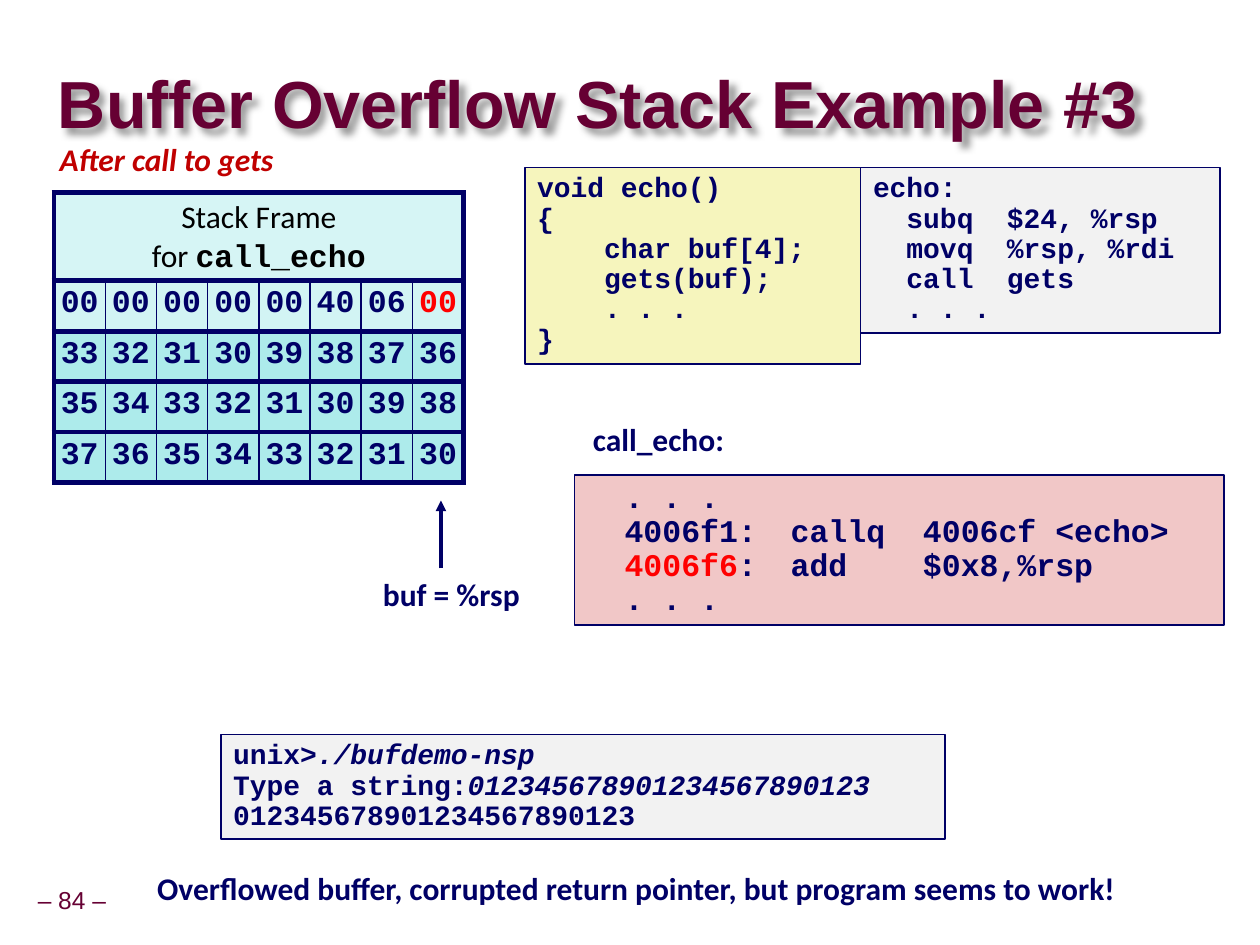
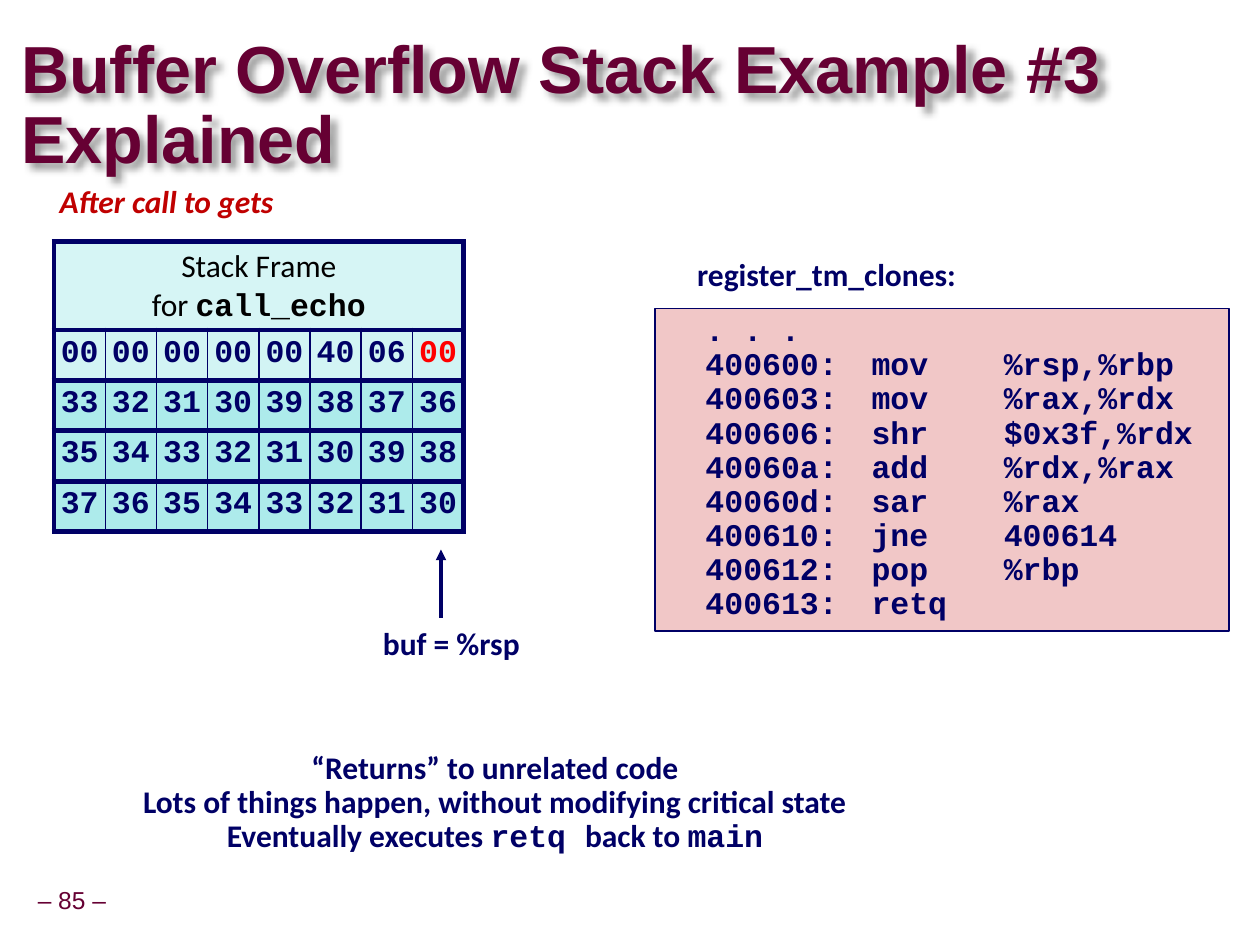
import lxml.etree
import pptx
import pptx.dml.color
import pptx.enum.shapes
import pptx.enum.text
import pptx.oxml.ns
import pptx.util

Cm = pptx.util.Cm
Pt = pptx.util.Pt
qn = pptx.oxml.ns.qn
ALIGN = pptx.enum.text.PP_ALIGN
ANCHOR = pptx.enum.text.MSO_ANCHOR

NAVY, MAROON, RED, CRIMSON, BLACK = "000066", "660033", "FF0000", "C00000", "000000"
GREY, YELLOW, PINK = "F2F2F2", "F6F5BD", "F1C7C7"
HEAD_FILL, RETURN_FILL, BUFFER_FILL = "D6F5F5", "D2F4F4", "ADEBEB"
SANS, BODY, MONO = "Arial", "Calibri", "Courier New"
CODE_TABS = (1.27, 4.11)
CELL_INSET = (0.03, 0.13, 0.03, 0.13)

STACK_ROWS = [
    "00 00 00 00 00 40 06 00",
    "33 32 31 30 39 38 37 36",
    "35 34 33 32 31 30 39 38",
    "37 36 35 34 33 32 31 30",
]
ECHO_C = ["void echo()", "{", "    char buf[4];", "    gets(buf);", "    . . .", "}"]
ECHO_ASM = ["echo:", "  subq  $24, %rsp", "  movq  %rsp, %rdi", "  call  gets", "  . . ."]
CALL_ECHO = [
    "  . . .",
    "  4006f1:\tcallq  4006cf <echo>",
    ["  ", ("4006f6", {"color": RED}), ":\tadd    $0x8,%rsp"],
    "  . . .",
]
CLONES = [
    "  . . .",
    "  400600:\tmov    %rsp,%rbp",
    "  400603:\tmov    %rax,%rdx",
    "  400606:\tshr    $0x3f,%rdx",
    "  40060a:\tadd    %rdx,%rax",
    "  40060d:\tsar    %rax",
    "  400610:\tjne    400614",
    "  400612:\tpop    %rbp",
    "  400613:\tretq",
]
SESSION = [
    ["unix>", ("./bufdemo-nsp", {"italic": True})],
    ["Type a string:", ("012345678901234567890123", {"italic": True})],
    "012345678901234567890123",
]
RETURN_NOTE = [
    "“Returns” to unrelated code",
    "Lots of things happen, without modifying critical state",
    ["Eventually executes ", ("retq ", {"font": MONO}), "back to ", ("main", {"font": MONO})],
]


def rgb(value):
    """Turn a hex string into a colour."""
    return pptx.dml.color.RGBColor.from_string(value)


def add_xml(parent, tag, **attrs):
    """Append a drawing element with its attributes."""
    return lxml.etree.SubElement(parent, qn(tag), {k: str(v) for k, v in attrs.items()})


def add_run(p, text, font=BODY, size=18, color=NAVY, bold=True, italic=False):
    """Add one formatted run."""
    r = p.add_run()
    r.text = text
    r.font.name, r.font.size = font, Pt(size)
    r.font.bold, r.font.italic = bold, italic
    r.font.color.rgb = rgb(color)


def write(tf, lines, align=ALIGN.CENTER, spacing=0.9, tabs=(), **fmt):
    """Fill a text frame, one paragraph per line; a line may be a list of runs."""
    for i, line in enumerate(lines):
        p = tf.paragraphs[0] if i == 0 else tf.add_paragraph()
        p.alignment, p.line_spacing = align, spacing
        if tabs:
            tab_list = add_xml(p._p.get_or_add_pPr(), "a:tabLst")
            for tab in tabs:
                add_xml(tab_list, "a:tab", pos=Cm(tab), algn="l")
        for part in [line] if isinstance(line, str) else line:
            text, extra = (part, {}) if isinstance(part, str) else part
            add_run(p, text, **{**fmt, **extra})


def set_insets(target, insets):
    """Set left, top, right and bottom margins in centimetres."""
    (target.margin_left, target.margin_top,
     target.margin_right, target.margin_bottom) = map(Cm, insets)


def text_box(s, box, lines, wrap=False, anchor=ANCHOR.TOP, insets=None, **fmt):
    """Add a plain text box."""
    tb = s.shapes.add_textbox(*map(Cm, box))
    tf = tb.text_frame
    tf.word_wrap, tf.vertical_anchor = wrap, anchor
    if insets:
        set_insets(tf, insets)
    write(tf, lines, **fmt)
    return tb


def code_box(s, box, lines, fill, size=16, tabs=()):
    """Add a framed listing in the code font."""
    sp = s.shapes.add_shape(pptx.enum.shapes.MSO_SHAPE.RECTANGLE, *map(Cm, box))
    sp.shadow.inherit = False
    sp.fill.solid()
    sp.fill.fore_color.rgb = rgb(fill)
    sp.line.color.rgb, sp.line.width = rgb(NAVY), Pt(1)
    tf = sp.text_frame
    tf.word_wrap, tf.vertical_anchor = True, ANCHOR.TOP
    write(tf, lines, align=ALIGN.LEFT, tabs=tabs, font=MONO, size=size)


def title(s, box, text):
    """Add the slide title with its soft shadow."""
    tb = text_box(s, box, [text], wrap=True, anchor=ANCHOR.MIDDLE, insets=(0, 0, 0, 0),
                  align=ALIGN.LEFT, spacing=0.87, font=SANS, size=38, color=MAROON)
    effects = add_xml(tb._element.spPr, "a:effectLst")
    shadow = add_xml(effects, "a:outerShdw", blurRad=Pt(4), dist=Pt(4), dir=2700000, algn="tl")
    add_xml(add_xml(shadow, "a:srgbClr", val=BLACK), "a:alpha", val=40000)


def page_number(s, number):
    """Add the page number at the foot."""
    text_box(s, (0.61, 17.78, 1.68, 0.79), [f"– {number} –"], anchor=ANCHOR.MIDDLE,
             insets=[0.13] * 4, font=SANS, size=14, color=MAROON, bold=False)


def style_cell(cell, fill, left=1, right=1):
    """Set the borders and fill of a stack cell."""
    tcPr = cell._tc.get_or_add_tcPr()
    for tag, width in (("a:lnL", left), ("a:lnR", right), ("a:lnT", 3), ("a:lnB", 3)):
        ln = add_xml(tcPr, tag, w=Pt(width))
        add_xml(add_xml(ln, "a:solidFill"), "a:srgbClr", val=NAVY)
    cell.fill.solid()
    cell.fill.fore_color.rgb = rgb(fill)


def stack_table(s, box):
    """Add the stack frame with one byte per cell."""
    left, top, width, height = box
    head, columns = 1.78, 8
    row_height = (height - head) / len(STACK_ROWS)
    table = s.shapes.add_table(len(STACK_ROWS) + 1, columns, *map(Cm, box)).table
    table.first_row = table.horz_banding = False
    for column in table.columns:
        column.width = Cm(width / columns)
    for i, row in enumerate(table.rows):
        row.height = Cm(row_height if i else head)
    frame = table.cell(0, 0)
    frame.merge(table.cell(0, columns - 1))
    style_cell(frame, HEAD_FILL, 3, 3)
    write(frame.text_frame,
          ["Stack Frame", ["for ", ("call_echo", {"font": MONO, "bold": True})]],
          spacing=1.0, color=BLACK, bold=False)
    for i, row in enumerate(STACK_ROWS):
        for j, byte in enumerate(row.split()):
            cell = table.cell(i + 1, j)
            last = j == columns - 1
            style_cell(cell, BUFFER_FILL if i else RETURN_FILL,
                       left=1 if j else 3, right=3 if last else 1)
            set_insets(cell, CELL_INSET)
            write(cell.text_frame, [byte], font=MONO, color=RED if last and i == 0 else NAVY)


def stack_region(s, box, caption_top):
    """Add the caption, the stack and the pointer to its lowest byte."""
    left, top, width, height = box
    text_box(s, (left - 0.18, caption_top, 4.9, 1.02), ["After call to gets"],
             color=CRIMSON, italic=True)
    stack_table(s, box)
    bottom, x = top + height, left + width - 0.46
    text_box(s, (x - 1.48, bottom + 1.83, 3.38, 1.02), ["buf = %rsp"], wrap=True)
    arrow = s.shapes.add_connector(pptx.enum.shapes.MSO_CONNECTOR.STRAIGHT,
                                   Cm(x), Cm(bottom + 1.73), Cm(x), Cm(bottom + 0.36))
    arrow.line.color.rgb, arrow.line.width = rgb(NAVY), Pt(2)
    add_xml(arrow.line._get_or_add_ln(), "a:tailEnd", type="triangle")
    add_xml(arrow._element.spPr, "a:effectLst")


def labelled_code(s, box, label, label_box, lines):
    """Add a disassembly listing under its label."""
    code_box(s, box, lines, PINK, size=18, tabs=CODE_TABS)
    text_box(s, label_box, [label])


def example_slide(prs):
    """Build the slide that shows the overflow."""
    s = prs.slides.add_slide(prs.slide_layouts[6])
    page_number(s, 84)
    title(s, (1.17, 1.37, 23.39, 1.6), "Buffer Overflow Stack Example #3")
    code_box(s, (4.45, 14.81, 14.6, 2.11), SESSION, GREY)
    text_box(s, (2.72, 17.48, 20.22, 1.02),
             ["Overflowed buffer, corrupted return pointer, but program seems to work!"])
    code_box(s, (17.35, 3.38, 7.24, 3.33), ECHO_ASM, GREY)
    code_box(s, (10.58, 3.38, 6.77, 3.96), ECHO_C, YELLOW)
    labelled_code(s, (11.58, 9.57, 13.1, 3.03), "call_echo:", (11.23, 8.43, 4.09, 1.27), CALL_ECHO)
    stack_region(s, (1.09, 3.88, 8.26, 5.85), 2.79)


def explained_slide(prs):
    """Build the slide that explains the return."""
    s = prs.slides.add_slide(prs.slide_layouts[6])
    page_number(s, 85)
    title(s, (0.43, 1.37, 24.33, 1.6), "Buffer Overflow Stack Example #3 Explained")
    labelled_code(s, (13.21, 6.22, 11.56, 6.5), "register_tm_clones:",
                  (12.88, 5.1, 7.57, 1.27), CLONES)
    text_box(s, (2.54, 15.04, 14.88, 2.57), RETURN_NOTE)
    stack_region(s, (1.09, 4.87, 8.26, 5.85), 3.63)


def main():
    """Build and save the presentation."""
    prs = pptx.Presentation()
    prs.slide_width, prs.slide_height = Cm(25.4), Cm(19.05)
    example_slide(prs)
    explained_slide(prs)
    prs.save("out.pptx")


if __name__ == "__main__":
    main()
